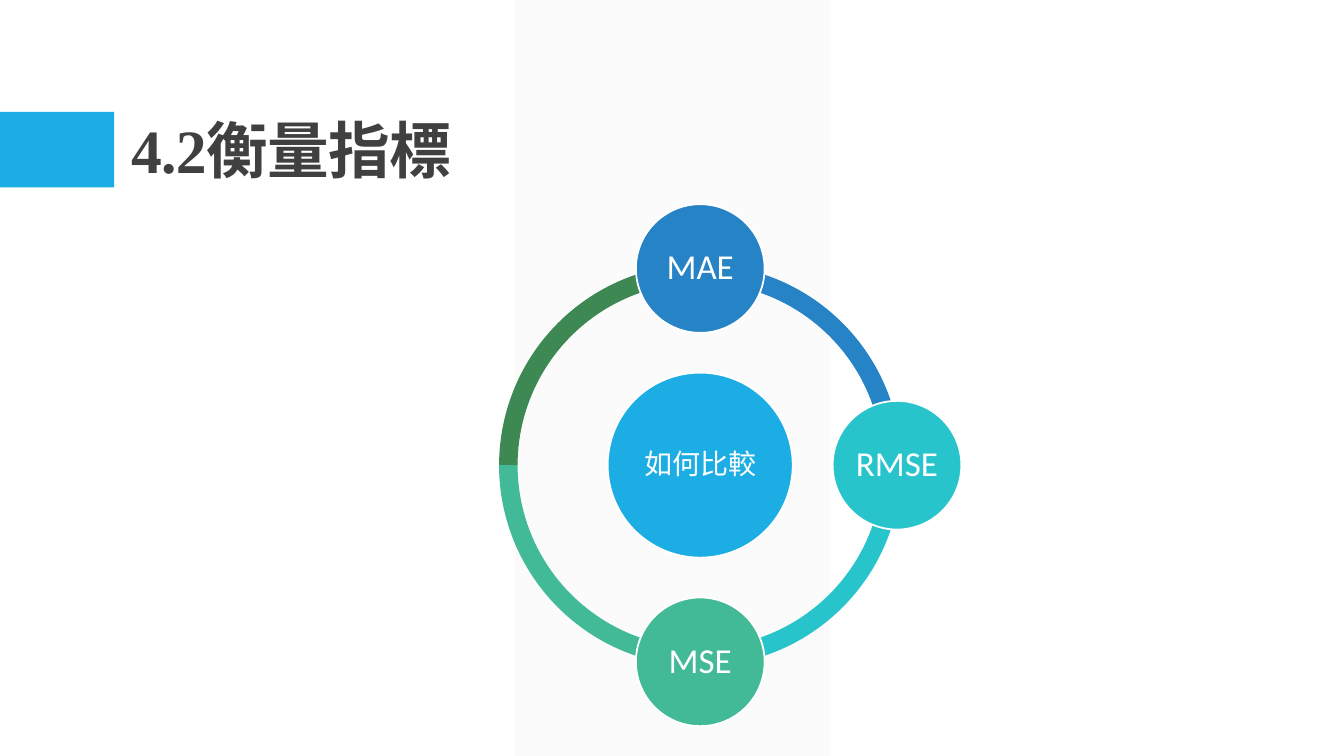
from dataclasses import dataclass
from math import cos, radians, sin

from lxml.etree import SubElement
from pptx import Presentation
from pptx.dml.color import RGBColor
from pptx.enum.shapes import MSO_SHAPE
from pptx.enum.text import MSO_ANCHOR, MSO_AUTO_SIZE, PP_ALIGN
from pptx.oxml.ns import qn
from pptx.util import Inches, Pt

WIDE, HIGH = 13.33, 7.5


@dataclass(frozen=True)
class Theme:
    band: str = "F2F2F2"
    ink: str = "404040"
    white: str = "FFFFFF"
    sky: str = "1CADE4"
    blue: str = "2683C6"
    teal: str = "28C4CC"
    mint: str = "42BA97"
    green: str = "3E8853"
    head: str = "Times New Roman"
    body: str = "Calibri"
    title: int = 44
    hub: int = 20
    node: int = 25
    edge: float = 1.25


THEME = Theme()


def add_form(slide, kind, box, color):
    """Add a flat preset shape without an outline."""
    form = slide.shapes.add_shape(kind, *map(Inches, box))
    form.shadow.inherit = False
    form.fill.solid()
    form.fill.fore_color.rgb = RGBColor.from_string(color)
    form.line.fill.background()
    return form


def add_run(para, text, size, face, color, bold=False):
    run = para.add_run()
    run.text = text
    run.font.size, run.font.name, run.font.bold = Pt(size), face, bold
    run.font.color.rgb = RGBColor.from_string(color)
    return run


def add_disc(slide, mid, size, color, text, points):
    """Add a white-rimmed circle with a centred label."""
    box = (mid[0] - size / 2, mid[1] - size / 2, size, size)
    disc = add_form(slide, MSO_SHAPE.OVAL, box, color)
    disc.line.color.rgb = RGBColor.from_string(THEME.white)
    disc.line.width = Pt(THEME.edge)
    frame = disc.text_frame
    frame.word_wrap = True
    frame.vertical_anchor = MSO_ANCHOR.MIDDLE
    frame.margin_left = frame.margin_right = Inches(0.03)
    frame.margin_top = frame.margin_bottom = Inches(0.03)
    para = frame.paragraphs[0]
    para.alignment, para.line_spacing = PP_ALIGN.CENTER, 0.9
    add_run(para, text, points, THEME.body, THEME.white)


def draw_back(slide, box):
    """Pale upright band and the accent block beside the title."""
    left, top, wide, high = box
    band = add_form(slide, MSO_SHAPE.PARALLELOGRAM,
                    (left + 0.383 * wide, top, 0.234 * wide, high), THEME.band)
    band.adjustments[0] = 0
    tint = band.fill._xPr.find(qn("a:solidFill"))[0]
    SubElement(tint, qn("a:alpha"), val="30000")
    add_form(slide, MSO_SHAPE.RECTANGLE,
             (left, top + 0.148 * high, 0.085 * wide, 0.1 * high), THEME.sky)


def draw_title(slide, box, text):
    title = slide.shapes.title
    title.left, title.top, title.width, title.height = map(Inches, box)
    frame = title.text_frame
    frame.word_wrap = True
    frame.auto_size = MSO_AUTO_SIZE.NONE
    frame.vertical_anchor = MSO_ANCHOR.BOTTOM
    para = frame.paragraphs[0]
    para.alignment, para.line_spacing = PP_ALIGN.LEFT, 0.9
    run = add_run(para, text, THEME.title, THEME.head, THEME.ink, bold=True)
    run.font._element.set("spc", "-50")


def draw_cycle(slide, box, hub, nodes):
    """Ring of four quarter arcs, a hub and nodes set clockwise from the top."""
    left, top, size, _ = box
    mid = (left + size / 2, top + size / 2)

    # Quarter arcs: angles are held in units of 60000 / 100000 degree
    arcs = (THEME.green, THEME.mint, THEME.teal, THEME.blue)
    for step, color in enumerate(arcs):
        start = (180 - 90 * step) % 360
        arc = add_form(slide, MSO_SHAPE.BLOCK_ARC, box, color)
        arc.adjustments[0] = start * 0.6
        arc.adjustments[1] = (start + 90) % 360 * 0.6
        arc.adjustments[2] = 0.046

    # Hub and nodes
    add_disc(slide, mid, 0.46 * size, THEME.sky, hub, THEME.hub)
    orbit = 0.489 * size
    for step, (text, color) in enumerate(nodes):
        turn = radians(90 * step - 90)
        spot = (mid[0] + orbit * cos(turn), mid[1] + orbit * sin(turn))
        add_disc(slide, spot, 0.32 * size, color, text, THEME.node)


def main():
    deck = Presentation()
    deck.slide_width, deck.slide_height = Inches(WIDE), Inches(HIGH)
    slide = deck.slides.add_slide(deck.slide_layouts[5])
    draw_back(slide, (0, 0, WIDE, HIGH))
    draw_title(slide, (0.09 * WIDE, 0.31, 11, 1.59), "4.2衡量指標")
    nodes = (("MAE", THEME.blue), ("RMSE", THEME.teal), ("MSE", THEME.mint))
    draw_cycle(slide, (4.95, 2.62, 3.99, 3.99), "如何比較", nodes)
    deck.save("out.pptx")


if __name__ == "__main__":
    main()
